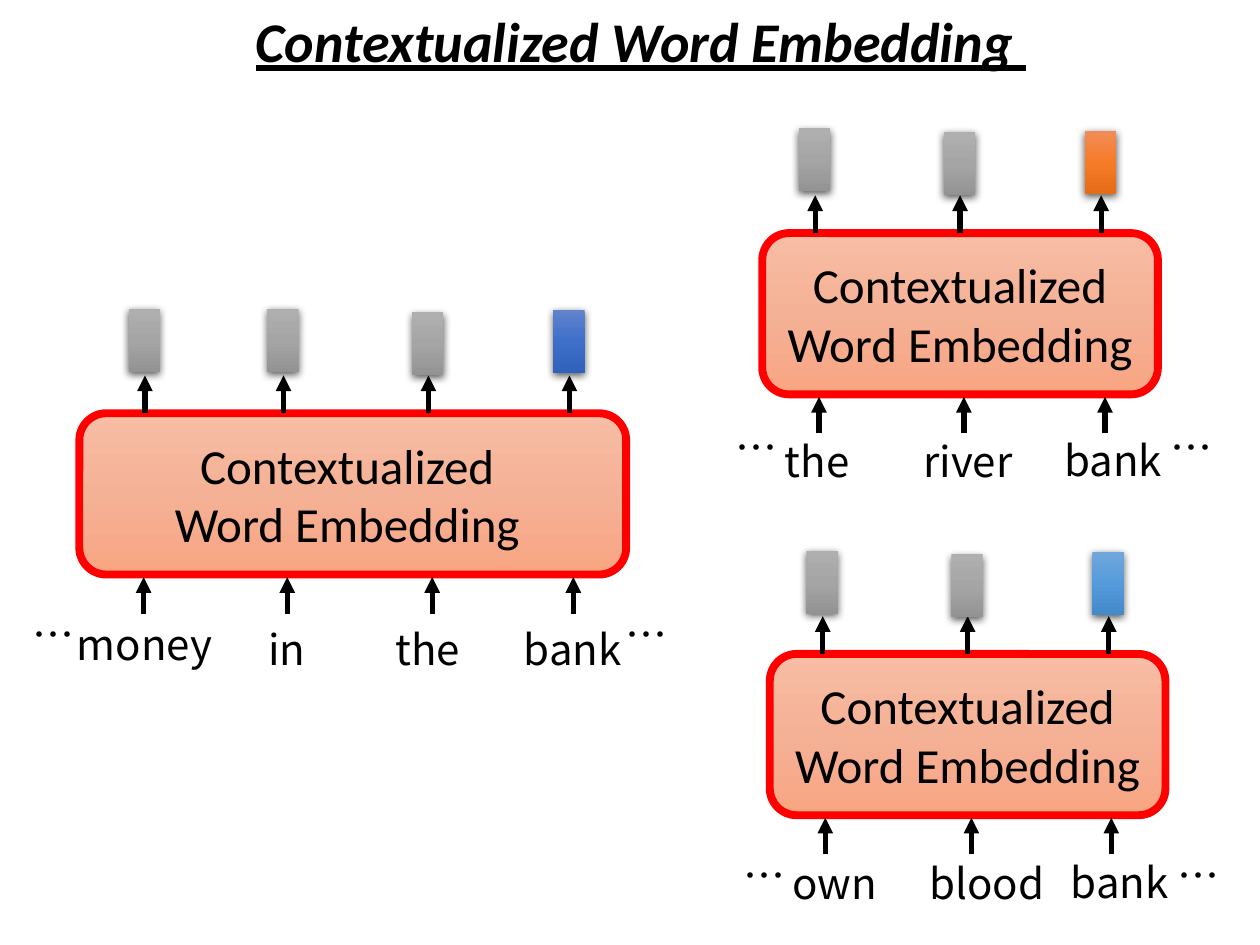
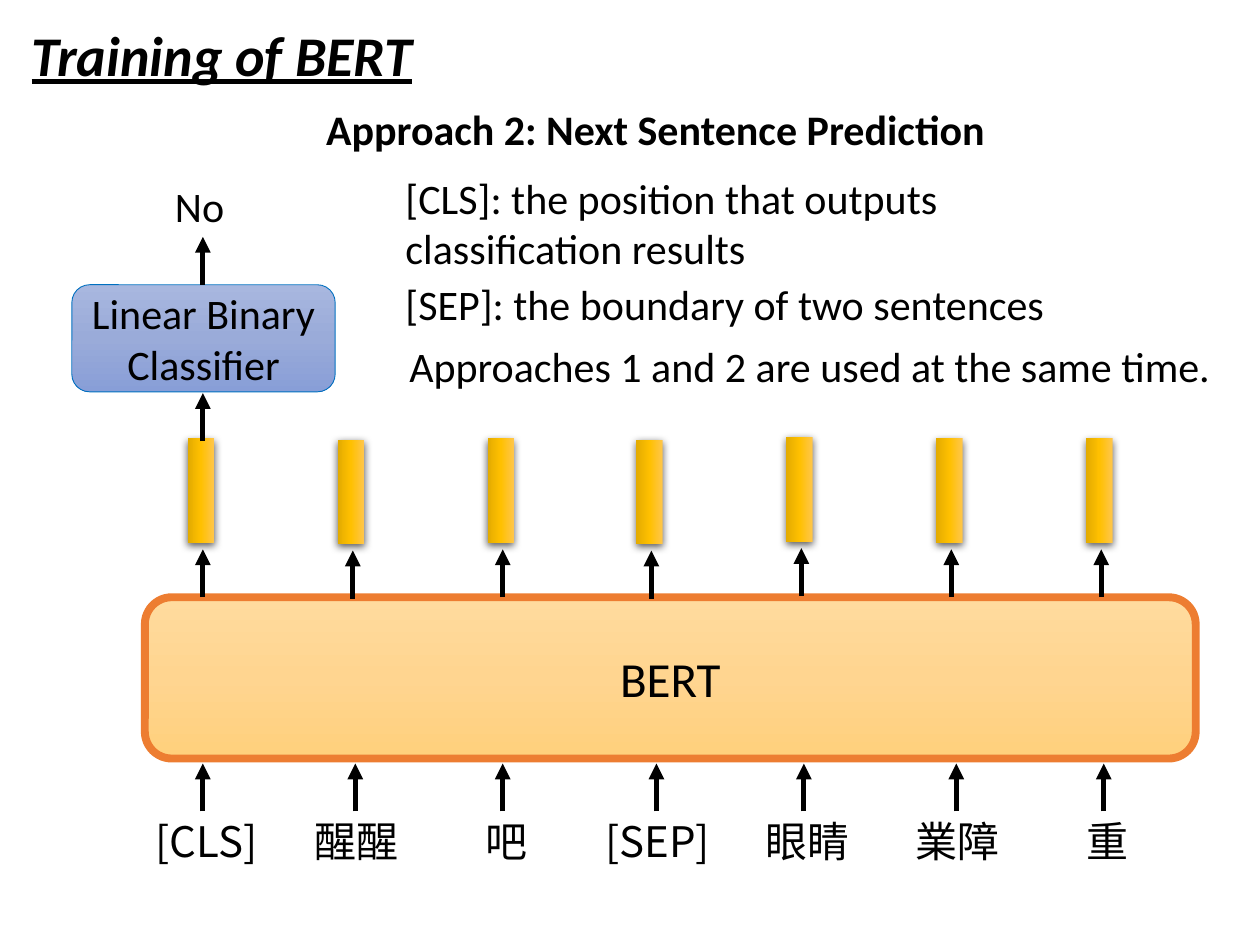
from copy import deepcopy
from dataclasses import dataclass
from typing import NamedTuple

from lxml.etree import SubElement
from pptx import Presentation
from pptx.dml.color import RGBColor
from pptx.enum.shapes import MSO_CONNECTOR, MSO_SHAPE
from pptx.enum.text import MSO_ANCHOR, MSO_AUTO_SIZE, PP_ALIGN
from pptx.oxml.ns import qn
from pptx.shapes.autoshape import Shape
from pptx.slide import Slide
from pptx.util import Emu, Pt

EMU_PER_PX = 9144
TITLE_ONLY = 5
Gradient = tuple[str, str, str]


class Frame(NamedTuple):
    left: int
    top: int
    width: int
    height: int


class Style(NamedTuple):
    font: str
    size: int
    bold: bool = False
    italic: bool = False
    underline: bool = False


class Outline(NamedTuple):
    color: str
    width: float


@dataclass(frozen=True)
class Theme:
    ink: str = "000000"
    title: Style = Style("Calibri", 32, True, True, True)
    heading: Style = Style("Calibri", 24, True)
    model: Style = Style("Calibri", 28)
    body: Style = Style("Calibri", 24)
    token: Style = Style("Noto Sans CJK SC", 24)
    gray: Gradient = ("AFAFAF", "A5A5A5", "939393")
    navy: Gradient = ("6183CB", "3E70CA", "3062BB")
    orange: Gradient = ("F18C57", "F67B28", "E56C19")
    sky: Gradient = ("71A6DB", "559BDB", "448ACA")
    gold: Gradient = ("FFC64B", "FFC000", "E3AB00")
    salmon: Gradient = ("F7BDA5", "F5B196", "F8A582")
    cream: Gradient = ("FFDB9E", "FFD590", "FFD07C")
    periwinkle: Gradient = ("A8B7DF", "9AABD9", "889ED7")
    embedder_line: Outline = Outline("FF0000", 4.5)
    bert_line: Outline = Outline("ED7D31", 4.5)
    classifier_line: Outline = Outline("0070C0", 0.5)


THEME = Theme()


class Token(NamedTuple):
    word: str
    left: int
    top: int
    width: int
    feed: int
    output: int
    lift: int
    tint: Gradient = THEME.gray


class Embedder(NamedTuple):
    frame: Frame
    label: str
    tokens: tuple[Token, ...]
    dots: tuple[int, int]
    dots_top: int


class Note(NamedTuple):
    text: str
    frame: Frame
    style: Style = THEME.body
    wrap: bool = True


EMBEDDERS = (
    Embedder(
        Frame(63, 328, 434, 128), "Contextualized \nWord Embedding ",
        (
            Token("money", -12, 158, 131, 51, 52, 83),
            Token("in", 140, 162, 50, 165, 162, 83),
            Token("the", 241, 162, 73, 280, 277, 80),
            Token("bank", 343, 162, 99, 392, 389, 82, THEME.navy),
        ),
        (-48, 423), 150,
    ),
    Embedder(
        Frame(605, 185, 314, 128), "Contextualized Word Embedding ",
        (
            Token("the", 8, 156, 73, 45, 42, 83),
            Token("river", 118, 156, 91, 160, 157, 80),
            Token("bank", 230, 155, 99, 272, 269, 81, THEME.orange),
        ),
        (-32, 313), 145,
    ),
    Embedder(
        Frame(611, 519, 314, 128), "Contextualized Word Embedding ",
        (
            Token("own", 8, 157, 89, 44, 42, 82),
            Token("blood", 117, 157, 115, 160, 157, 79),
            Token("bank", 229, 156, 99, 271, 269, 81, THEME.sky),
        ),
        (-32, 313), 150,
    ),
)

BERT_TOKENS = ("[CLS]", "醒醒", "吧", "[SEP]", "眼睛", "業障", "重")
OUTPUT_NUDGES = (0, 1, 0, 1, -1, 0, 0)
NOTES = (
    Note("Approach 2: Next Sentence Prediction", Frame(249, 77, 556, 50),
         THEME.heading, False),
    Note("No", Frame(129, 138, 60, 50), wrap=False),
    Note("[CLS]: the position that outputs classification results",
         Frame(312, 132, 556, 91)),
    Note("[SEP]: the boundary of two sentences", Frame(312, 216, 556, 50)),
    Note("Approaches 1 and 2 are used at the same time.",
         Frame(315, 265, 660, 50)),
)


def px(length: int) -> Emu:
    return Emu(length * EMU_PER_PX)


def emu_frame(frame: Frame) -> tuple[Emu, ...]:
    return tuple(px(length) for length in frame)


def apply(target: object, formats: dict[str, object]) -> None:
    for name, value in formats.items():
        setattr(target, name, value)


def write(box: Shape, text: str, style: Style, align: PP_ALIGN) -> None:
    frame = box.text_frame
    for index, line in enumerate(text.split("\n")):
        para = frame.add_paragraph() if index else frame.paragraphs[0]
        para.alignment = align
        span = para.add_run()
        span.text = line
        apply(span.font, {
            "name": style.font,
            "size": Pt(style.size),
            "bold": style.bold,
            "italic": style.italic,
            "underline": style.underline,
        })
        span.font.color.rgb = RGBColor.from_string(THEME.ink)
        properties = span.font.fill and span._r.get_or_add_rPr()
        SubElement(properties, qn("a:ea"), typeface=style.font)


def fit_text(box: Shape, wrap: bool) -> None:
    apply(box.text_frame, {
        "word_wrap": wrap,
        "auto_size": MSO_AUTO_SIZE.SHAPE_TO_FIT_TEXT,
        "vertical_anchor": MSO_ANCHOR.TOP,
    })


def add_text(page: Slide, text: str, frame: Frame, style: Style,
             wrap: bool = True, align: PP_ALIGN = PP_ALIGN.LEFT) -> None:
    box = page.shapes.add_textbox(*emu_frame(frame))
    fit_text(box, wrap)
    write(box, text, style, align)


def set_title(page: Slide, text: str, frame: Frame) -> None:
    title = page.shapes.title
    apply(title, dict(zip(("left", "top", "width", "height"), emu_frame(frame))))
    fit_text(title, False)
    write(title, text, THEME.title, PP_ALIGN.LEFT)


def add_gradient_shape(page: Slide, kind: MSO_SHAPE, frame: Frame,
                       gradient: Gradient) -> Shape:
    shape = page.shapes.add_shape(kind, *emu_frame(frame))
    shape.shadow.inherit = False
    shape.fill.gradient()
    shape.fill.gradient_angle = 270
    stops = shape.element.spPr.find(".//" + qn("a:gsLst"))
    stops.append(deepcopy(stops[0]))
    for stop, color, position in zip(shape.fill.gradient_stops, gradient, (0, 0.5, 1)):
        stop.color.rgb = RGBColor.from_string(color)
        stop.position = position
    return shape


def add_block(page: Slide, text: str, frame: Frame, gradient: Gradient,
              outline: Outline, style: Style) -> None:
    block = add_gradient_shape(page, MSO_SHAPE.ROUNDED_RECTANGLE, frame, gradient)
    block.line.color.rgb = RGBColor.from_string(outline.color)
    block.line.width = Pt(outline.width)
    block.text_frame.vertical_anchor = MSO_ANCHOR.MIDDLE
    write(block, text, style, PP_ALIGN.CENTER)


def add_vector(page: Slide, frame: Frame, gradient: Gradient, rotation: int = 0) -> None:
    vector = add_gradient_shape(page, MSO_SHAPE.RECTANGLE, frame, gradient)
    vector.rotation = rotation
    vector.line.fill.background()
    effects = vector.element.spPr.find(qn("a:effectLst"))
    shadow = SubElement(effects, qn("a:outerShdw"), blurRad=str(Pt(4.5)),
                        dist=str(Pt(1.5)), dir="5400000", algn="ctr", rotWithShape="0")
    color = SubElement(shadow, qn("a:srgbClr"), val=THEME.ink)
    SubElement(color, qn("a:alpha"), val="63000")


def add_up_arrow(page: Slide, x: int, bottom: int, length: int) -> None:
    arrow = page.shapes.add_connector(
        MSO_CONNECTOR.STRAIGHT, px(x), px(bottom), px(x), px(bottom - length))
    arrow.line.color.rgb = RGBColor.from_string(THEME.ink)
    arrow.line.width = Pt(3)
    SubElement(arrow.line._get_or_add_ln(), qn("a:tailEnd"), type="triangle")
    SubElement(arrow._element.spPr, qn("a:effectLst"))


def draw_embedder(page: Slide, embedder: Embedder) -> None:
    left, top, _, _ = embedder.frame
    add_block(page, embedder.label, embedder.frame, THEME.salmon,
              THEME.embedder_line, THEME.model)
    for token in embedder.tokens:
        output = left + token.output
        add_up_arrow(page, left + token.feed, top + 159, 29)
        add_up_arrow(page, output, top, 30)
        add_vector(page, Frame(output - 13, top - token.lift, 25, 50), token.tint)
        add_text(page, token.word,
                 Frame(left + token.left, top + token.top, token.width, 50),
                 THEME.token, wrap=False)
    for offset in embedder.dots:
        add_text(page, "…", Frame(left + offset, top + embedder.dots_top, 55, 50),
                 THEME.token, align=PP_ALIGN.CENTER)


def draw_embedding_page(page: Slide) -> None:
    set_title(page, "Contextualized Word Embedding ", Frame(193, 0, 639, 64))
    for embedder in EMBEDDERS:
        draw_embedder(page, embedder)


def draw_bert_page(page: Slide) -> None:
    set_title(page, "Training of BERT", Frame(15, 11, 325, 64))
    add_block(page, "BERT", Frame(115, 474, 834, 128), THEME.cream,
              THEME.bert_line, THEME.model)
    add_block(page, "Linear Binary\nClassifier", Frame(57, 226, 209, 85),
              THEME.periwinkle, THEME.classifier_line, THEME.body)
    for index, (word, nudge) in enumerate(zip(BERT_TOKENS, OUTPUT_NUDGES)):
        shift = round(index * 715 / 6)
        output = 161 + round(index * 713 / 6)
        add_text(page, word, Frame(103 + shift, 642, 122, 50), THEME.token,
                 align=PP_ALIGN.CENTER)
        add_up_arrow(page, 161 + shift + index % 2 * 2, 644, 38)
        add_up_arrow(page, output, 474 + nudge, 38)
        add_vector(page, Frame(output - 43, 379 + nudge, 83, 21), THEME.gold, 90)
    for bottom in (226, 350):
        add_up_arrow(page, 161, bottom, 38)
    for note in NOTES:
        add_text(page, note.text, note.frame, note.style, note.wrap)


def main() -> None:
    deck = Presentation()
    deck.slide_width, deck.slide_height = px(1000), px(750)
    for draw_page in (draw_embedding_page, draw_bert_page):
        draw_page(deck.slides.add_slide(deck.slide_layouts[TITLE_ONLY]))
    deck.save("out.pptx")


if __name__ == "__main__":
    main()
